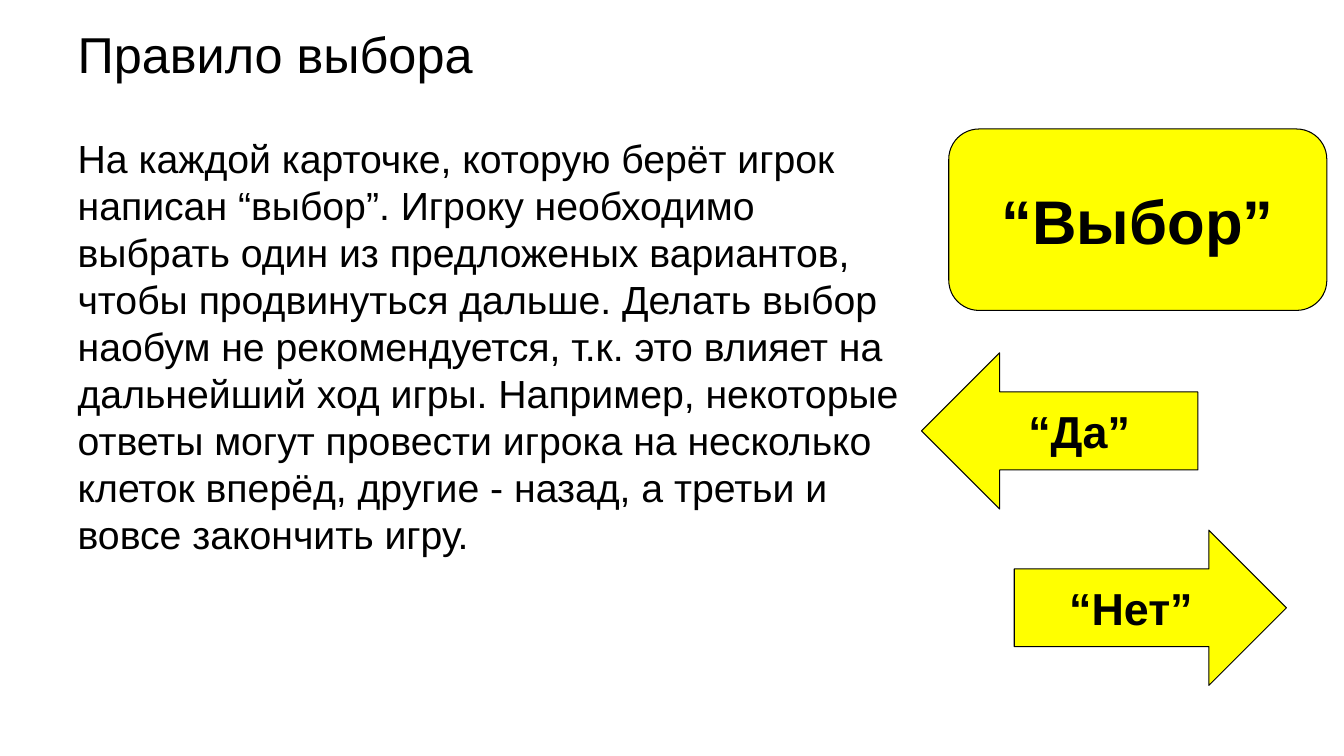
from pptx import Presentation
from pptx.dml.color import RGBColor
from pptx.enum import shapes, text
from pptx.util import Inches, Pt
from lxml import etree

BLACK = RGBColor(0, 0, 0)
YELLOW = RGBColor(255, 255, 0)
SHAPE = shapes.MSO_SHAPE
ALIGN = text.PP_ALIGN
ANCHOR = text.MSO_ANCHOR
NS = "{http://schemas.openxmlformats.org/drawingml/2006/main}"

RULE = (
    "На каждой карточке, которую берёт игрок написан “выбор”. "
    "Игроку необходимо выбрать один из предложеных вариантов, "
    "чтобы продвинуться дальше. Делать выбор наобум не рекомендуется, "
    "т.к. это влияет на дальнейший ход игры. Например, некоторые ответы "
    "могут провести игрока на несколько клеток вперёд, другие - назад, "
    "а третьи и вовсе закончить игру."
)


def place(shape, box):
    shape.left, shape.top, shape.width, shape.height = map(Inches, box)


def write(shape, words, size, bold=False, align=ALIGN.LEFT,
          anchor=ANCHOR.MIDDLE, wrap=True):
    frame = shape.text_frame
    frame.text = words
    frame.word_wrap = wrap
    frame.auto_size = text.MSO_AUTO_SIZE.NONE
    frame.vertical_anchor = anchor
    par = frame.paragraphs[0]
    par.alignment = align
    font = par.runs[0].font
    font.name, font.size, font.bold = "Arial", Pt(size), bold
    font.color.rgb = BLACK
    return par


def add_title(slide, box):
    title = slide.shapes.title
    place(title, box)
    write(title, "Правило выбора", 36)


def add_body(slide, box):
    body = slide.placeholders[1]
    place(body, box)
    par = write(body, RULE, 28, anchor=ANCHOR.TOP)
    # Plain paragraph without bullet or indent
    props = par._p.get_or_add_pPr()
    props.set("marL", "0")
    props.set("indent", "0")
    etree.SubElement(props, NS + "buNone")


def add_sign(slide, kind, words, size, box):
    sign = slide.shapes.add_shape(kind, *map(Inches, box))
    sign.shadow.inherit = False
    sign.fill.solid()
    sign.fill.fore_color.rgb = YELLOW
    sign.line.color.rgb = BLACK
    sign.line.width = Pt(0.75)
    write(sign, words, size, bold=True, align=ALIGN.CENTER, wrap=False)


def add_signs(slide, left, top):
    # Choice card with its two answers, relative to the corner given
    for kind, words, size, x, y, wide, high in (
        (SHAPE.LEFT_ARROW, "“Да”", 32, 0, 2.22, 2.74, 1.55),
        (SHAPE.RIGHT_ARROW, "“Нет”", 32, 0.92, 3.98, 2.7, 1.54),
        (SHAPE.ROUNDED_RECTANGLE, "“Выбор”", 44, 0.27, 0, 3.75, 1.8),
    ):
        add_sign(slide, kind, words, size, (left + x, top + y, wide, high))


deck = Presentation()
deck.slide_width, deck.slide_height = Inches(13.33), Inches(7.5)
page = deck.slides.add_slide(deck.slide_layouts[1])
add_title(page, (0.67, 0.21, 12, 0.64))
add_body(page, (0.67, 1.28, 8.48, 5.42))
add_signs(page, 9.14, 1.28)
deck.save("out.pptx")
